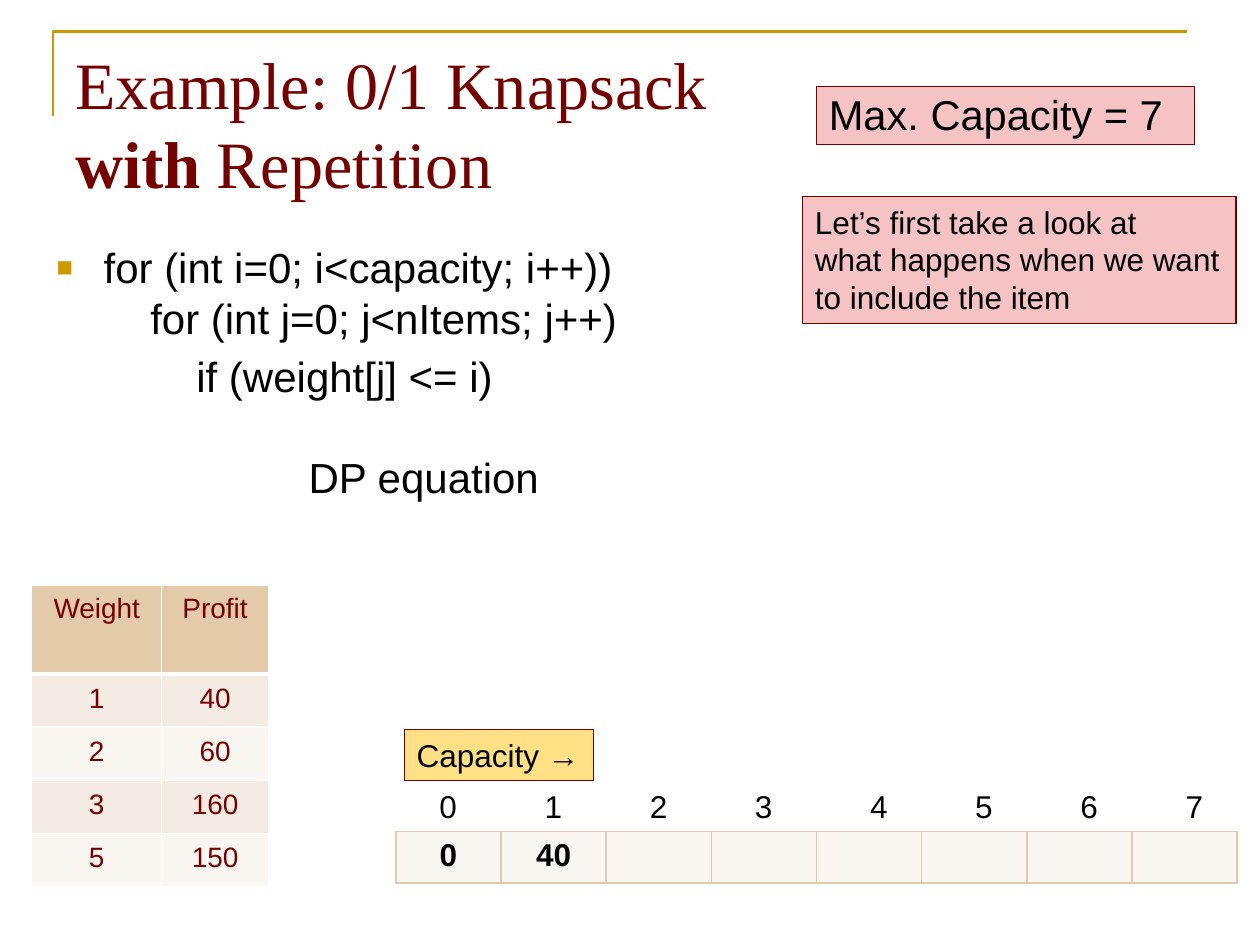
from lxml import etree
from pptx import Presentation
from pptx import util as u
from pptx.dml.color import RGBColor
from pptx.enum import shapes, text
from pptx.oxml import ns

MAROON = RGBColor(0x74, 0x00, 0x00)
GOLD = RGBColor(0xCC, 0x99, 0x00)
PINK = RGBColor(0xF5, 0xC3, 0xC3)
YELLOW = RGBColor(0xFF, 0xE0, 0x85)
TAN = RGBColor(0xE2, 0xCA, 0xAA)
BEIGE = RGBColor(0xF4, 0xEC, 0xE2)
CREAM = RGBColor(0xFA, 0xF6, 0xF1)
BLACK = RGBColor(0, 0, 0)
WHITE = RGBColor(0xFF, 0xFF, 0xFF)


def cm(*lengths):
    return [u.Cm(length) for length in lengths]


class SlideBuilder:
    body_font = "Arial"
    title_font = "Times New Roman"

    def __init__(self, slide):
        self.slide = slide

    def style(self, paragraph, size, color=BLACK, bold=False, font=None):
        for target in [paragraph, *paragraph.runs]:
            target.font.name = font or self.body_font
            target.font.size = u.Pt(size)
            target.font.bold = bold
            target.font.color.rgb = color

    def corner(self, points):
        start, *rest = [cm(*point) for point in points]
        builder = self.slide.shapes.build_freeform(*start)
        builder.add_line_segments(rest, close=False)
        frame = builder.convert_to_shape()
        frame.shadow.inherit = False
        frame.fill.background()
        frame.line.color.rgb = GOLD
        frame.line.width = u.Pt(1.5)

    def label(self, at, content="", size=18, wrap=True):
        frame = self.slide.shapes.add_textbox(*cm(*at)).text_frame
        frame.word_wrap = wrap
        frame.text = content
        self.style(frame.paragraphs[0], size)
        return frame

    def title(self, at, parts):
        paragraph = self.label(at).paragraphs[0]
        paragraph.line_spacing = u.Pt(45)
        for content, _ in parts:
            paragraph.add_run().text = content
        self.style(paragraph, 37.8, MAROON, font=self.title_font)
        for run, (_, bold) in zip(paragraph.runs, parts):
            run.font.bold = bold

    def code(self, at, lines):
        frame = self.label(at)
        frame.text = "\n".join(content for content, _, _ in lines)
        for paragraph, (_, indent, before) in zip(frame.paragraphs, lines):
            self.style(paragraph, 24)
            paragraph.line_spacing = u.Pt(28.8)
            paragraph.space_before = u.Pt(before)
            paragraph._p.get_or_add_pPr().set("marL", str(u.Cm(indent)))
        self.bullet(frame.paragraphs[0], lines[0][1])

    def bullet(self, paragraph, hang):
        props = paragraph._p.get_or_add_pPr()
        props.set("indent", str(-u.Cm(hang)))
        color = etree.SubElement(props, ns.qn("a:buClr"))
        etree.SubElement(color, ns.qn("a:srgbClr"), val=str(GOLD))
        etree.SubElement(props, ns.qn("a:buSzPct"), val="65000")
        etree.SubElement(props, ns.qn("a:buFont"), typeface=self.body_font)
        etree.SubElement(props, ns.qn("a:buChar"), char="■")
        # Default run properties come after the bullet in the schema
        defaults = props.find(ns.qn("a:defRPr"))
        if defaults is not None:
            props.append(defaults)

    def box(self, at, content, fill, size=18, wrap=False,
            anchor=text.MSO_ANCHOR.TOP):
        box = self.slide.shapes.add_shape(shapes.MSO_SHAPE.RECTANGLE, *cm(*at))
        box.shadow.inherit = False
        box.fill.solid()
        box.fill.fore_color.rgb = fill
        box.line.color.rgb = MAROON
        box.line.width = u.Pt(0.75)
        frame = box.text_frame
        frame.word_wrap = wrap
        frame.vertical_anchor = anchor
        paragraph = frame.paragraphs[0]
        paragraph.text = content
        paragraph.alignment = text.PP_ALIGN.LEFT
        self.style(paragraph, size)
        return paragraph

    def border(self, cell, color, bottom=1):
        props = cell._tc.get_or_add_tcPr()
        for place, side in enumerate("LRTB"):
            width = bottom if side == "B" else 1
            line = etree.Element(ns.qn("a:ln" + side), w=str(u.Pt(width)))
            fill = etree.SubElement(line, ns.qn("a:solidFill"))
            etree.SubElement(fill, ns.qn("a:srgbClr"), val=str(color))
            props.insert(place, line)

    def table(self, left, top, widths, heights, rows, fills, border,
              size, color, bold=False, inset=None, header_rule=1):
        table = self.slide.shapes.add_table(
            len(rows), len(widths),
            *cm(left, top, sum(widths), sum(heights))).table
        for column, width in zip(table.columns, widths):
            column.width = u.Cm(width)
        for r, (row, values) in enumerate(zip(table.rows, rows)):
            row.height = u.Cm(heights[r])
            for cell, value in zip(row.cells, values):
                cell.text = value
                cell.fill.solid()
                cell.fill.fore_color.rgb = fills[r]
                if inset:
                    cell.margin_left = cell.margin_right = u.Cm(inset[0])
                    cell.margin_top = cell.margin_bottom = u.Cm(inset[1])
                paragraph = cell.text_frame.paragraphs[0]
                paragraph.alignment = text.PP_ALIGN.CENTER
                self.style(paragraph, size, color, bold)
                self.border(cell, border, header_rule if r == 0 else 1)


def main():
    deck = Presentation()
    deck.slide_width, deck.slide_height = cm(25.4, 19.05)
    page = SlideBuilder(deck.slides.add_slide(deck.slide_layouts[6]))

    # Heading and loop
    page.corner([(1.07, 2.34), (1.07, 0.64), (23.93, 0.64)])
    page.title((1.27, 0.76, 13.34, 3.18), [
        ("Example: 0/1 Knapsack ", False), ("with", True),
        (" Repetition", False)])
    page.code((0.89, 4.75, 23.34, 6.88), [
        ("for (int i=0; i<capacity; i++))", 0.95, 0),
        ("for (int j=0; j<nItems; j++)", 1.89, 0),
        ("if (weight[j] <= i)", 2.82, 4.8),
        ("DP equation", 5.08, 28.8)])

    # Notes on the right
    capacity = page.box((16.46, 1.75, 7.62, 1.17), "Max. Capacity = 7", PINK,
                        23.8, True, text.MSO_ANCHOR.BOTTOM)
    capacity.space_after = u.Pt(6)
    page.box((16.18, 3.96, 8.74, 2.57),
             "Let’s first take a look at\vwhat happens when we want\v"
             "to include the item", PINK)

    # Best profit per capacity
    slots, step = 8, 2.12
    profits = ["0", "40"] + [""] * (slots - 2)
    page.table(7.98, 16.76, [step] * slots, [1.04], [profits], [CREAM], TAN,
               18, BLACK, bold=True)
    for slot in range(slots):
        shift = 0.2 if slot >= slots // 2 else 0
        page.label((8.61 + slot * step + shift, 15.75, 0.86, 1.02), str(slot),
                   wrap=False)
    page.box((8.15, 14.71, 3.81, 1.02), "Capacity →", YELLOW)

    # Items
    items = [("Weight", "Profit"), ("1", "40"), ("2", "60"), ("3", "160"),
             ("5", "150")]
    page.table(0.64, 11.79, [2.62, 2.15], [1.8] + [1.07] * 4, items,
               [TAN] + [BEIGE, CREAM] * 2, WHITE, 16, MAROON,
               inset=(0.38, 0.18), header_rule=3)

    deck.save("out.pptx")


if __name__ == "__main__":
    main()
